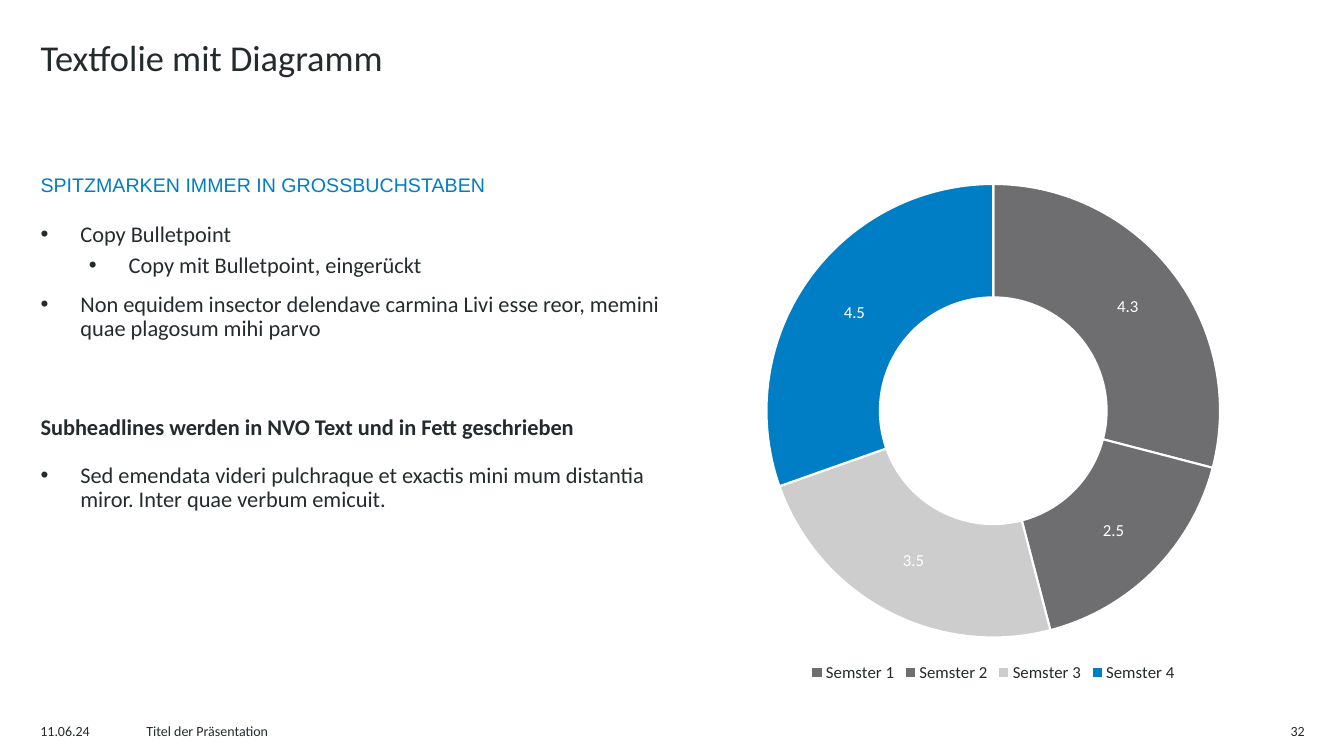
from lxml.etree import SubElement
from pptx import Presentation
from pptx.chart.data import CategoryChartData
from pptx.dml.color import RGBColor
from pptx.enum.chart import XL_CHART_TYPE, XL_LEGEND_POSITION
from pptx.enum.text import MSO_ANCHOR, MSO_AUTO_SIZE, PP_ALIGN
from pptx.oxml.ns import qn
from pptx.util import Emu, Pt

PX = 9525  # EMU per px, 96 px to the inch
INK = RGBColor(0x24, 0x2B, 0x2D)
BLUE = RGBColor(0x00, 0x7E, 0xC5)
GRAY = RGBColor(0x6E, 0x6E, 0x70)
PALE = RGBColor(0xCE, 0xCD, 0xCD)
WHITE = RGBColor(0xFF, 0xFF, 0xFF)
FONT = "Calibri"
LEFT, WIDE = 29, 612
HANG = 38
INDENTS = (38, 84)


def px(*sizes):
    return [Emu(size * PX) for size in sizes]


def style(font, size, color=INK, name=FONT, bold=False):
    font.name, font.size, font.bold = name, Pt(size), bold
    font.color.rgb = color


def place(shape, *box):
    shape.left, shape.top, shape.width, shape.height = px(*box)
    frame = shape.text_frame
    frame.word_wrap = True
    frame.auto_size = MSO_AUTO_SIZE.NONE
    frame.vertical_anchor = MSO_ANCHOR.TOP
    return frame


def add_line(shape, box, text, size, align=PP_ALIGN.LEFT, **look):
    """Fill a shape with a single paragraph."""
    frame = place(shape, *box)
    frame.text = text
    para = frame.paragraphs[0]
    para.alignment = align
    para.space_before = Pt(0)
    style(para.font, size, **look)
    return para


def add_list(shape, box, items):
    """Fill a shape with bullets given as (level, text)."""
    frame = place(shape, *box)
    for i, (level, text) in enumerate(items):
        para = frame.paragraphs[0] if i == 0 else frame.add_paragraph()
        para.text, para.level = text, level
        para.line_spacing = 0.9
        para.space_before = Pt(0 if i == 0 else 5 if level else 10)
        props = para._p.get_or_add_pPr()
        props.set("marL", str(INDENTS[level] * PX))
        props.set("indent", str(-HANG * PX))
        SubElement(props, qn("a:buFont")).set("typeface", "Arial")
        SubElement(props, qn("a:buChar")).set("char", "•")
        style(para.font, 16)


def add_ring(slide, box, values, colors):
    data = CategoryChartData(number_format="0.0")
    data.categories = [f"Semster {i + 1}" for i in range(len(values))]
    data.add_series("Series 1", values)
    chart = slide.shapes.add_chart(XL_CHART_TYPE.DOUGHNUT, *px(*box), data).chart
    chart.has_title = False
    style(chart.font, 10)

    chart.has_legend = True
    chart.legend.position = XL_LEGEND_POSITION.BOTTOM
    chart.legend.include_in_layout = False
    style(chart.legend.font, 12)

    plot = chart.plots[0]
    plot._element.find(qn("c:holeSize")).set("val", "75")
    plot.has_data_labels = True
    plot.data_labels.show_value = True
    plot.data_labels.show_percentage = False
    style(plot.data_labels.font, 12, WHITE)
    for i, color in enumerate(colors):
        look = plot.series[0].points[i].format
        look.fill.solid()
        look.fill.fore_color.rgb = color
        look.line.color.rgb = WHITE
        look.line.width = Pt(1.5)


def main():
    deck = Presentation()
    deck.slide_width, deck.slide_height = px(1280, 720)
    slide = deck.slides.add_slide(deck.slide_layouts.get_by_name("Comparison"))
    title, kicker, first, subhead, second = slide.placeholders

    # Title
    add_line(title, (LEFT, 29, 1171, 106), "Textfolie mit Diagramm", 26)

    # Headings above the lists
    for para in (
        add_line(kicker, (LEFT, 162, WIDE, 41),
                 "SPITZMARKEN IMMER IN GROSSBUCHSTABEN", 14, color=BLUE, name="Arial"),
        add_line(subhead, (LEFT, 392, WIDE, 41),
                 "Subheadlines werden in NVO Text und in Fett geschrieben", 16, bold=True),
    ):
        para.line_spacing = 0.9

    # Lists
    add_list(first, (LEFT, 208, WIDE, 170), [
        (0, "Copy Bulletpoint"),
        (1, "Copy mit Bulletpoint, eingerückt"),
        (0, "Non equidem insector delendave carmina Livi esse reor, "
            "memini quae plagosum mihi parvo"),
    ])
    add_list(second, (LEFT, 437, WIDE, 172), [
        (0, "Sed emendata videri pulchraque et exactis mini mum distantia miror. "
            "Inter quae verbum emicuit."),
    ])

    # Chart
    add_ring(slide, (640, 162, WIDE, 492), (4.3, 2.5, 3.5, 4.5),
             (GRAY, GRAY, PALE, BLUE))

    # Footer
    for left, width, text, align in (
        (LEFT, 94, "11.06.24", PP_ALIGN.LEFT),
        (130, 1020, "Titel der Präsentation", PP_ALIGN.LEFT),
        (1176, 76, "32", PP_ALIGN.RIGHT),
    ):
        box = (left, 683, width, 30)
        add_line(slide.shapes.add_textbox(*px(*box)), box, text, 10, align)

    deck.save("out.pptx")


if __name__ == "__main__":
    main()
